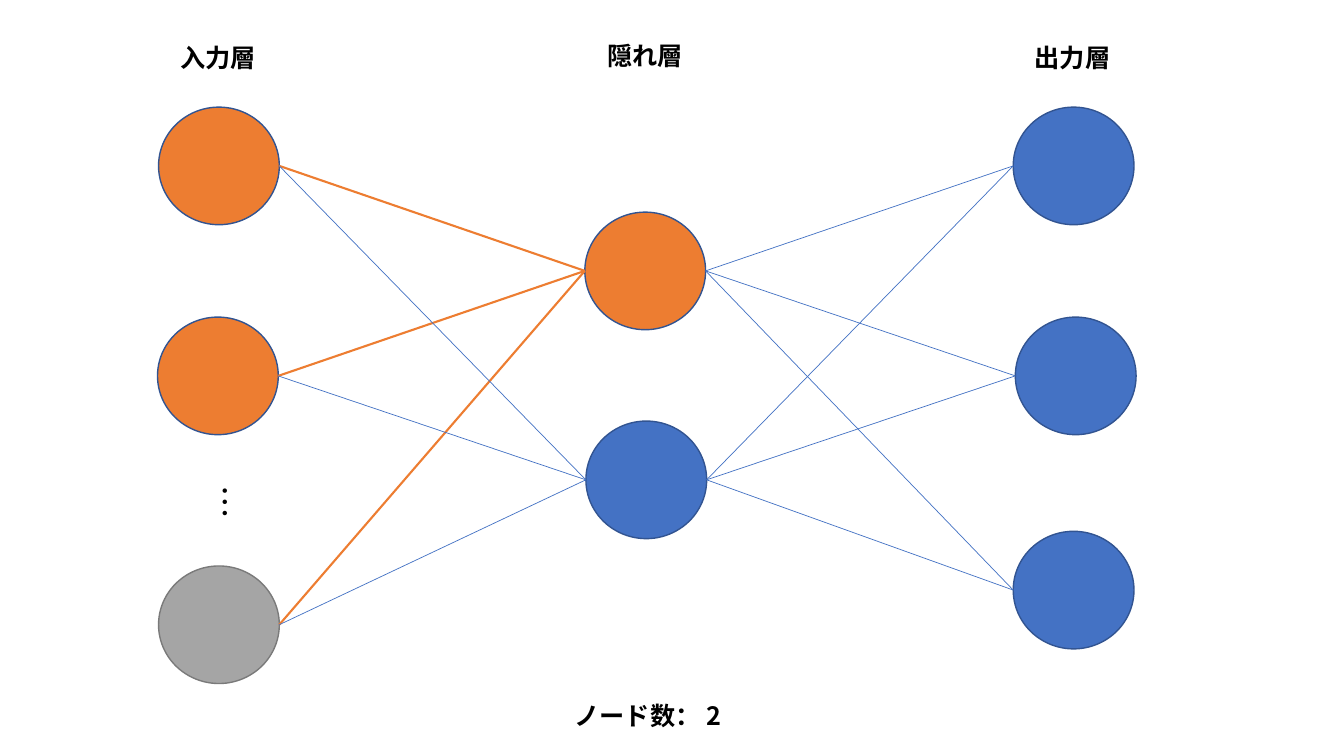
from dataclasses import dataclass
from itertools import product

from lxml import etree
from pptx import Presentation
from pptx import util as u
from pptx.dml.color import RGBColor
from pptx.enum import shapes, text
from pptx.oxml.ns import qn
from pptx.shapes.autoshape import Shape
from pptx.slide import Slide

ORANGE = RGBColor(0xED, 0x7D, 0x31)
BLUE = RGBColor(0x44, 0x72, 0xC4)
GRAY = RGBColor(0xA5, 0xA5, 0xA5)
DARK_BLUE = RGBColor(0x32, 0x54, 0x91)
DARK_GRAY = RGBColor(0x7A, 0x7A, 0x7A)
BLACK = RGBColor(0, 0, 0)

FONT = "Noto Sans CJK JP"
NODE_W, NODE_H = 115, 112


@dataclass(frozen=True)
class Node:
    x: int
    y: int
    fill: RGBColor
    line: RGBColor = DARK_BLUE

    @property
    def left(self) -> tuple[int, int]:
        return self.x, self.y + NODE_H // 2

    @property
    def right(self) -> tuple[int, int]:
        return self.x + NODE_W, self.y + NODE_H // 2


@dataclass(frozen=True)
class Label:
    words: str
    x: int
    y: int
    w: int = 93
    h: int = 39
    size: int = 18
    bold: bool = True
    vertical: bool = False


INPUTS = [
    Node(151, 102, ORANGE),
    Node(150, 302, ORANGE),
    Node(151, 539, GRAY, DARK_GRAY),
]
HIDDEN = [Node(557, 202, ORANGE), Node(558, 401, BLUE)]
OUTPUTS = [Node(965, 102, BLUE), Node(967, 302, BLUE), Node(965, 506, BLUE)]
LABELS = [
    Label("入力層", 161, 36),
    Label("出力層", 975, 36),
    Label("隠れ層", 568, 34),
    Label("…", 180, 453, 59, 47, size=24, bold=False, vertical=True),
    Label("ノード数： 2", 532, 662, w=170),
]


def px(n: int) -> u.Emu:
    return u.Emu(n * 9525)


def add_node(s: Slide, node: Node) -> Shape:
    sp = s.shapes.add_shape(
        shapes.MSO_SHAPE.OVAL, px(node.x), px(node.y), px(NODE_W), px(NODE_H)
    )
    sp.shadow.inherit = False
    sp.fill.solid()
    sp.fill.fore_color.rgb = node.fill
    sp.line.color.rgb = node.line
    sp.line.width = u.Pt(1)
    return sp


def add_link(s: Slide, start: Node, end: Node, color: RGBColor, width: float) -> None:
    """Draw a line from the right of start to the left of end."""
    cxn = s.shapes.add_connector(
        shapes.MSO_CONNECTOR.STRAIGHT, *map(px, start.right + end.left)
    )
    cxn.line.color.rgb = color
    cxn.line.width = u.Pt(width)
    etree.SubElement(cxn._element.spPr, qn("a:effectLst"))


def add_label(s: Slide, label: Label) -> None:
    sp = s.shapes.add_textbox(px(label.x), px(label.y), px(label.w), px(label.h))
    tf = sp.text_frame
    tf.word_wrap = False
    tf.auto_size = text.MSO_AUTO_SIZE.SHAPE_TO_FIT_TEXT
    if label.vertical:
        tf._txBody.bodyPr.set("vert", "eaVert")
    p = tf.paragraphs[0]
    p.text = label.words
    p.alignment = text.PP_ALIGN.CENTER
    p.font.size = u.Pt(label.size)
    p.font.bold = label.bold
    p.font.color.rgb = BLACK
    p.font.name = FONT
    props = p._p.pPr.find(qn("a:defRPr"))
    etree.SubElement(props, qn("a:ea"), typeface=FONT)


def main() -> None:
    prs = Presentation()
    prs.slide_width, prs.slide_height = px(1280), px(720)
    s = prs.slides.add_slide(prs.slide_layouts[6])

    for node in INPUTS + OUTPUTS + HIDDEN:
        add_node(s, node)
    for hidden, source in product(HIDDEN, INPUTS):
        active = hidden.fill == ORANGE
        add_link(s, source, hidden, hidden.fill, 1.5 if active else 0.5)
    for hidden, target in product(HIDDEN, OUTPUTS):
        add_link(s, hidden, target, BLUE, 0.5)
    for label in LABELS:
        add_label(s, label)

    prs.save("out.pptx")


if __name__ == "__main__":
    main()
